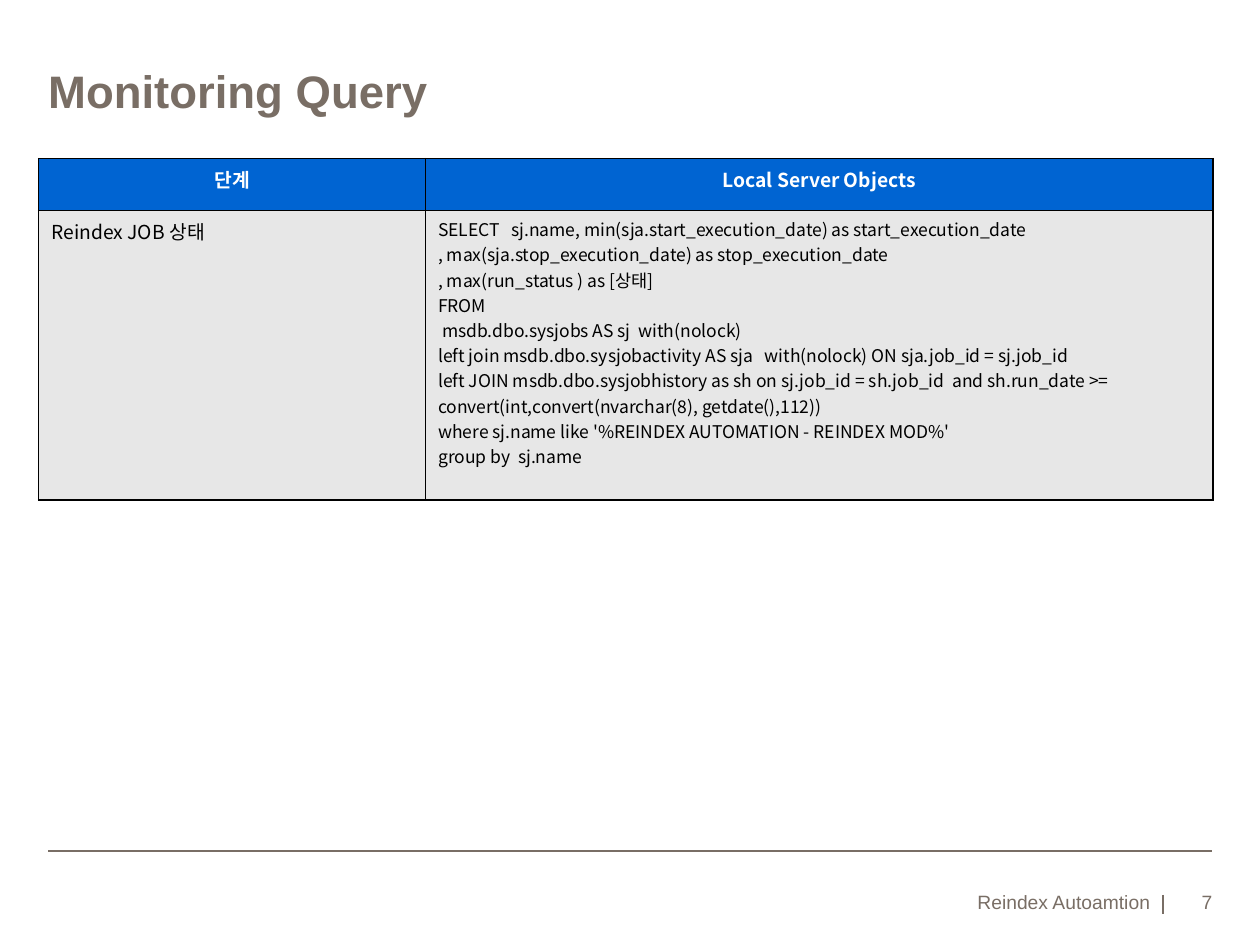
from lxml import etree
from pptx import Presentation
from pptx import util as u
from pptx.dml.color import RGBColor
from pptx.enum import shapes, text
from pptx.oxml import ns

TAUPE = RGBColor(0x79, 0x6E, 0x65)
BLUE = RGBColor(0x00, 0x64, 0xD2)
GREY = RGBColor(0xE7, 0xE7, 0xE7)
WHITE = RGBColor(0xFF, 0xFF, 0xFF)
BLACK = RGBColor(0x00, 0x00, 0x00)
HEADING_FONT = "Arial"
TABLE_FONT = "Noto Sans CJK KR"

HEADERS = ["단계", "Local Server Objects"]
STEP = "Reindex JOB 상태"
QUERY = """SELECT   sj.name, min(sja.start_execution_date) as start_execution_date
, max(sja.stop_execution_date) as stop_execution_date
, max(run_status ) as [상태]
FROM
 msdb.dbo.sysjobs AS sj  with(nolock)
left join msdb.dbo.sysjobactivity AS sja   with(nolock) ON sja.job_id = sj.job_id
left JOIN msdb.dbo.sysjobhistory as sh on sj.job_id = sh.job_id  and sh.run_date >= convert(int,convert(nvarchar(8), getdate(),112))
where sj.name like '%REINDEX AUTOMATION - REINDEX MOD%'
group by  sj.name"""


def format_text(text_frame, font_name, size, color, bold=False, alignment=text.PP_ALIGN.LEFT):
    """Format every run of a text frame alike."""
    for paragraph in text_frame.paragraphs:
        paragraph.alignment = alignment
        for run in paragraph.runs:
            run.font.name = font_name
            run.font.size = u.Pt(size)
            run.font.bold = bold
            run.font.color.rgb = color
            east_asian = etree.SubElement(run.font._element, ns.qn("a:ea"))
            east_asian.set("typeface", font_name)


def set_margins(text_frame, top=0):
    """Wrap the text and clear all margins but the top one."""
    text_frame.word_wrap = True
    text_frame.auto_size = text.MSO_AUTO_SIZE.NONE
    text_frame.margin_left = text_frame.margin_right = text_frame.margin_bottom = 0
    text_frame.margin_top = top


def add_title(slide, left, top, width, height):
    """Place and format the title placeholder."""
    title = slide.shapes.title
    title.left, title.top, title.width, title.height = left, top, width, height
    title.text_frame.text = "Monitoring Query"
    set_margins(title.text_frame)
    title.text_frame.vertical_anchor = text.MSO_ANCHOR.TOP
    format_text(title.text_frame, HEADING_FONT, 26, TAUPE, bold=True)


def add_borders(cell):
    """Draw a thin black line on each side of a cell."""
    properties = cell._tc.get_or_add_tcPr()
    for position, side in enumerate(("lnL", "lnR", "lnT", "lnB")):
        line = etree.Element(ns.qn(f"a:{side}"), w=str(u.Pt(1)))
        fill = etree.SubElement(line, ns.qn("a:solidFill"))
        etree.SubElement(fill, ns.qn("a:srgbClr"), val=str(BLACK))
        properties.insert(position, line)


def fill_cell(cell, content, fill, size, color, bold, alignment):
    """Give a cell its text, fill and borders."""
    cell.text_frame.text = content
    format_text(cell.text_frame, TABLE_FONT, size, color, bold, alignment)
    cell.fill.solid()
    cell.fill.fore_color.rgb = fill
    add_borders(cell)


def add_query_table(slide, left, top, width, height):
    """Add the table of steps and their monitoring queries."""
    table = slide.shapes.add_table(2, 2, left, top, width, height).table
    table.columns[0].width = u.Cm(7.8)
    table.columns[1].width = width - u.Cm(7.8)
    table.rows[0].height = u.Cm(1.04)
    table.rows[1].height = height - u.Cm(1.04)
    for column, header in enumerate(HEADERS):
        fill_cell(table.cell(0, column), header, BLUE, 11, WHITE, True, text.PP_ALIGN.CENTER)
    for column, (content, size) in enumerate([(STEP, 11), (QUERY, 10)]):
        fill_cell(table.cell(1, column), content, GREY, size, BLACK, False, text.PP_ALIGN.LEFT)


def add_rule(slide, left, top, right, bottom):
    """Add a thin straight line."""
    line = slide.shapes.add_connector(shapes.MSO_CONNECTOR.STRAIGHT, left, top, right, bottom)
    line.line.color.rgb = TAUPE
    line.line.width = u.Pt(1)
    etree.SubElement(line._element.spPr, ns.qn("a:effectLst"))


def add_footer(slide, left, top, width, height):
    """Add the rule, the deck name, the divider and the page number."""
    right, bottom = left + width, top + height
    divider = right - u.Cm(1)
    add_rule(slide, left, top, right, top)
    add_rule(slide, divider, bottom - u.Cm(0.38), divider, bottom)
    name_right = divider - u.Cm(0.25)
    for content, box_left, box_right in (
        ("Reindex Autoamtion", name_right - u.Cm(9.3), name_right),
        ("7", divider, right),
    ):
        box = slide.shapes.add_textbox(box_left, bottom - u.Cm(0.7), box_right - box_left, u.Cm(0.7))
        box.text_frame.text = content
        set_margins(box.text_frame, top=u.Cm(0.13))
        box.text_frame.vertical_anchor = text.MSO_ANCHOR.BOTTOM
        format_text(box.text_frame, HEADING_FONT, 11, TAUPE, alignment=text.PP_ALIGN.RIGHT)


def main():
    """Build the slide and save it."""
    presentation = Presentation()
    presentation.slide_width, presentation.slide_height = u.Cm(25.4), u.Cm(19.05)
    slide = presentation.slides.add_slide(presentation.slide_layouts[5])
    add_title(slide, u.Cm(0.97), u.Cm(1.27), u.Cm(23.47), u.Cm(2.57))
    add_query_table(slide, u.Cm(0.78), u.Cm(3.2), u.Cm(23.67), u.Cm(6.88))
    add_footer(slide, u.Cm(0.97), u.Cm(17.15), u.Cm(23.47), u.Cm(1.27))
    presentation.save("out.pptx")


if __name__ == "__main__":
    main()
